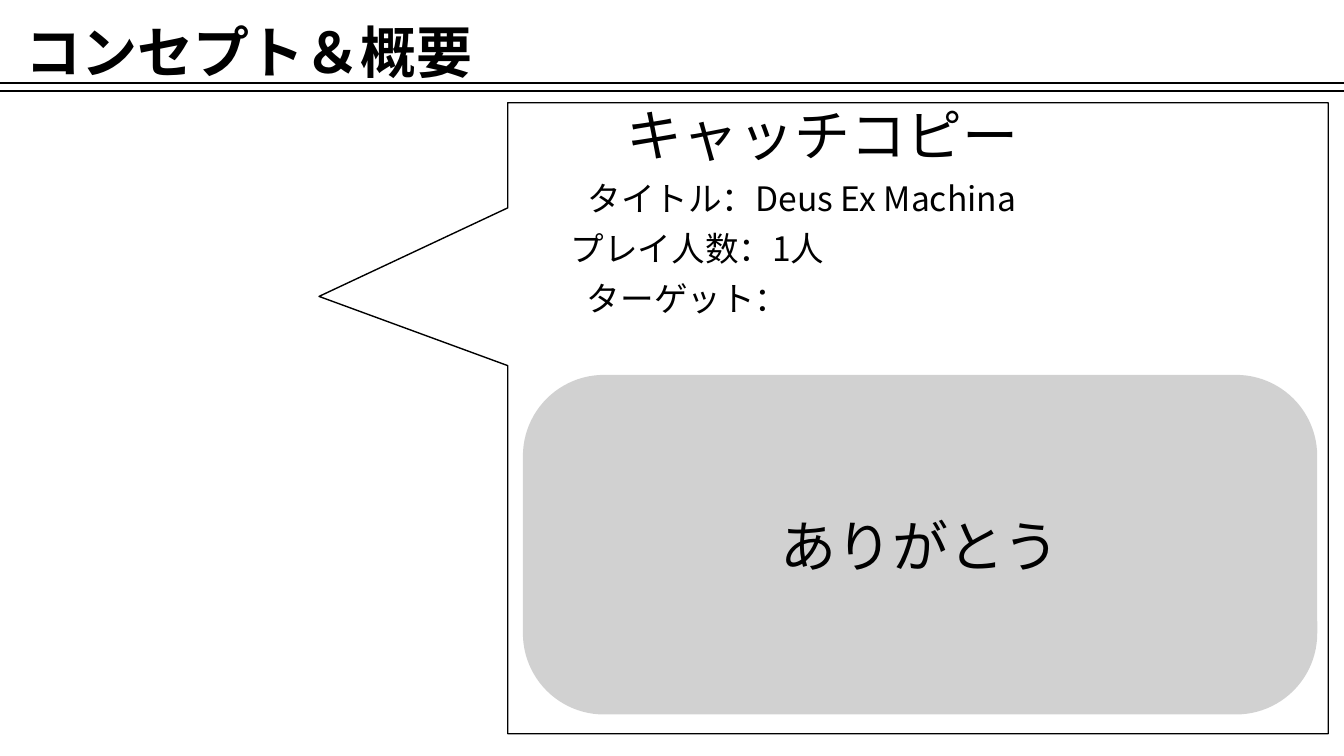
from lxml import etree
from pptx import Presentation
from pptx.dml import color
from pptx.enum import shapes, text
from pptx.oxml import ns
from pptx.util import Pt

FONT = "Noto Sans CJK JP"
BLACK = "000000"


def rgb(code):
    return color.RGBColor.from_string(code)


def add_run(para, words, size, bold=False):
    run = para.add_run()
    run.text = words
    font = run.font
    font.name, font.size, font.bold = FONT, Pt(size), bold
    font.color.rgb = rgb(BLACK)
    east = etree.SubElement(run._r.get_or_add_rPr(), ns.qn("a:ea"))
    east.set("typeface", FONT)


def add_text(slide, box, rows, anchor, before=0):
    """Each row is (words, size, bold, indent)."""
    frame = slide.shapes.add_textbox(*map(Pt, box)).text_frame
    frame.word_wrap = True
    frame.vertical_anchor = anchor
    frame.margin_left = frame.margin_right = 0
    for i, (words, size, bold, indent) in enumerate(rows):
        para = frame.add_paragraph() if i else frame.paragraphs[0]
        para.line_spacing = 0.9
        para.space_before = Pt(before)
        para._p.get_or_add_pPr().set("marL", str(Pt(indent)))
        add_run(para, words, size, bold)


def add_shape(slide, kind, box, adjust):
    shape = slide.shapes.add_shape(kind, *map(Pt, box))
    shape.shadow.inherit = False
    for i, value in enumerate(adjust):
        shape.adjustments[i] = value
    return shape


def add_header(slide, x, y, w, h):
    # Title above a double rule
    title = [("コンセプト＆概要", 40, True, 0)]
    add_text(slide, (x + 18, y, w - 36, h), title, text.MSO_ANCHOR.BOTTOM)
    for rule in (y + h, y + h - 5.8):
        line = slide.shapes.add_connector(
            shapes.MSO_CONNECTOR.STRAIGHT, Pt(x), Pt(rule), Pt(x + w), Pt(rule))
        line.line.color.rgb = rgb(BLACK)
        line.line.width = Pt(1.5)
        etree.SubElement(line._element.spPr, ns.qn("a:effectLst"))


def add_panel(slide, x, y, w, h):
    # Callout frame
    frame = add_shape(slide, shapes.MSO_SHAPE.RECTANGULAR_CALLOUT,
                      (x, y, w, h), (-0.73, -0.193))
    frame.fill.background()
    frame.line.color.rgb = rgb(BLACK)
    frame.line.width = Pt(1)

    # Game facts
    facts = [("キャッチコピー", 40, False, 40),
             ("タイトル：Deus Ex Machina", 24, False, 12),
             ("プレイ人数：1人", 24, False, 0),
             ("ターゲット：", 24, False, 11.5)]
    add_text(slide, (x + 45, y, w - 55, 180), facts,
             text.MSO_ANCHOR.TOP, before=10)

    # Translucent message card
    card = add_shape(slide, shapes.MSO_SHAPE.ROUNDED_RECTANGLE,
                     (x + 10.8, y + 194.4, w - 18.7, 242.6), (0.239,))
    card.fill.solid()
    card.fill.fore_color.rgb = rgb("A5A5A5")
    tint = card._element.spPr.find(".//" + ns.qn("a:srgbClr"))
    etree.SubElement(tint, ns.qn("a:alpha")).set("val", "50000")
    card.line.fill.background()
    card.text_frame.vertical_anchor = text.MSO_ANCHOR.MIDDLE
    para = card.text_frame.paragraphs[0]
    para.alignment = text.PP_ALIGN.CENTER
    add_run(para, "ありがとう", 40)


def main():
    deck = Presentation()
    deck.slide_width, deck.slide_height = Pt(960), Pt(540)
    slide = deck.slides.add_slide(deck.slide_layouts[6])
    add_header(slide, 0, 0, 960, 64.8)
    add_panel(slide, 362.7, 73.4, 586.1, 450.7)
    deck.save("out.pptx")


if __name__ == "__main__":
    main()
